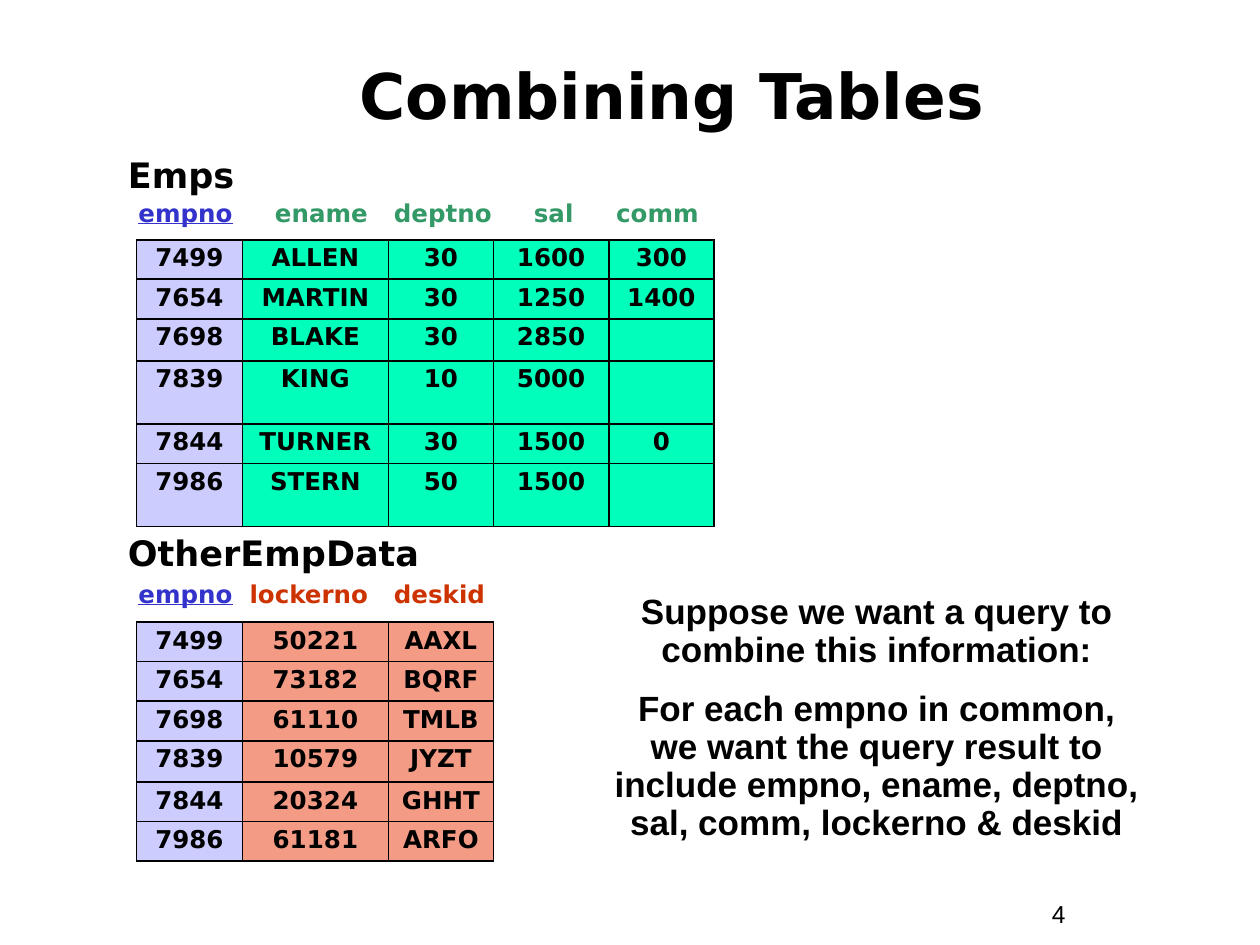
import dataclasses
import typing

import lxml.etree
import pptx
import pptx.dml.color
import pptx.enum.text
import pptx.oxml.ns
import pptx.util

Pt = pptx.util.Pt
Align = pptx.enum.text.PP_ALIGN
Anchor = pptx.enum.text.MSO_ANCHOR
qn = pptx.oxml.ns.qn


# Theme: colours, fonts and type sizes
@dataclasses.dataclass(frozen=True)
class Theme:
    ink: str = "000000"
    key: str = "3333CC"
    green: str = "339966"
    rust: str = "CC3300"
    lilac: str = "CCCCFF"
    mint: str = "01FFBC"
    salmon: str = "F49B86"
    head: str = "DejaVu Sans"
    body: str = "Arial"
    title: float = 36
    large: float = 20
    small: float = 14
    rule: float = 1.08


THEME = Theme()


@dataclasses.dataclass(frozen=True)
class Style:
    size: float
    face: str = THEME.head
    color: str = THEME.ink
    bold: bool = True
    line: bool = False


class Box(typing.NamedTuple):
    left: float
    top: float
    width: float
    height: float


class Field(typing.NamedTuple):
    name: str
    width: float
    tab: float  # label start, measured from the first label


class Table(typing.NamedTuple):
    name: str
    label: Box
    header: Box
    left: float
    top: float
    tint: str
    fill: str
    fields: list[Field]
    heights: list[float]
    rows: list[str]  # cells parted by "|"


# Table contents
ROW = 22.6
TALL = 36
EMPNO = Field("empno", 60.5, 0)

TABLES = [
    Table("Emps", Box(66, 84, 168, 32), Box(72, 109.5, 342, 24.5),
          78, 137, THEME.green, THEME.mint,
          [EMPNO, Field("ename", 83.5, 78), Field("deptno", 60, 146),
           Field("sal", 66, 226), Field("comm", 60, 273)],
          [ROW, ROW, ROW, TALL, ROW, TALL],
          ["7499|ALLEN|30|1600|300", "7654|MARTIN|30|1250|1400",
           "7698|BLAKE|30|2850|", "7839|KING|10|5000|",
           "7844|TURNER|30|1500|0", "7986|STERN|50|1500|"]),
    Table("OtherEmpData", Box(66, 300, 198, 32), Box(72, 327.5, 228, 24.5),
          78, 355.5, THEME.rust, THEME.salmon,
          [EMPNO, Field("lockerno", 83.5, 63.5), Field("deskid", 60, 146)],
          [ROW, ROW, ROW, 23.6, ROW, ROW],
          ["7499|50221|AAXL", "7654|73182|BQRF", "7698|61110|TMLB",
           "7839|10579|JYZT", "7844|20324|GHHT", "7986|61181|ARFO"]),
]


def paint(font: typing.Any, style: Style) -> None:
    form = {"name": style.face, "size": Pt(style.size),
            "bold": style.bold, "underline": style.line}
    for key, value in form.items():
        setattr(font, key, value)
    font.color.rgb = pptx.dml.color.RGBColor.from_string(style.color)


def write(para: typing.Any, text: str, style: Style) -> None:
    run = para.add_run()
    run.text = text
    paint(run.font, style)


def frame(slide: typing.Any, box: Box) -> typing.Any:
    text = slide.shapes.add_textbox(*map(Pt, box)).text_frame
    text.word_wrap = True
    return text


def label(slide: typing.Any, box: Box, lines: list[str], style: Style,
          anchor: typing.Any = Anchor.TOP, gap: float = 0,
          **form: typing.Any) -> None:
    text = frame(slide, box)
    text.vertical_anchor = anchor
    for i, line in enumerate(lines):
        para = text.add_paragraph() if i else text.paragraphs[0]
        for key, value in form.items():
            setattr(para, key, value)
        if i:
            para.space_before = Pt(gap)
        write(para, line, style)


def header(slide: typing.Any, table: Table) -> None:
    """Column labels, spaced by tab stops."""
    para = frame(slide, table.header).paragraphs[0]
    tabs = lxml.etree.SubElement(para._p.get_or_add_pPr(), qn("a:tabLst"))
    for field in table.fields[1:]:
        lxml.etree.SubElement(tabs, qn("a:tab"), pos=str(int(Pt(field.tab))),
                              algn="l")
    first, *rest = table.fields
    write(para, first.name, Style(THEME.small, color=THEME.key, line=True))
    for field in rest:
        write(para, "\t" + field.name, Style(THEME.small, color=table.tint))


def border(cell: typing.Any) -> None:
    props = cell._tc.get_or_add_tcPr()
    for side in ("lnL", "lnR", "lnT", "lnB"):
        line = lxml.etree.SubElement(props, qn("a:" + side),
                                     w=str(int(Pt(THEME.rule))))
        fill = lxml.etree.SubElement(line, qn("a:solidFill"))
        lxml.etree.SubElement(fill, qn("a:srgbClr"), val=THEME.ink)


def fill_cell(cell: typing.Any, text: str, color: str) -> None:
    border(cell)
    cell.fill.solid()
    cell.fill.fore_color.rgb = pptx.dml.color.RGBColor.from_string(color)
    para = cell.text_frame.paragraphs[0]
    para.alignment = Align.CENTER
    para.line_spacing = 0.9
    if text:
        write(para, text, Style(THEME.small))
    else:  # keep an empty cell from stretching its row
        lxml.etree.SubElement(para._p, qn("a:endParaRPr"),
                              sz=str(int(THEME.small * 100)))


def draw(slide: typing.Any, table: Table) -> None:
    label(slide, table.label, [table.name], Style(THEME.large))
    header(slide, table)
    width = sum(field.width for field in table.fields)
    grid = slide.shapes.add_table(
        len(table.rows), len(table.fields), Pt(table.left), Pt(table.top),
        Pt(width), Pt(sum(table.heights))).table
    grid.first_row = grid.horz_banding = False
    for col, field in zip(grid.columns, table.fields):
        col.width = Pt(field.width)
    for row, height, line in zip(grid.rows, table.heights, table.rows):
        row.height = Pt(height)
        for i, (cell, text) in enumerate(zip(row.cells, line.split("|"))):
            fill_cell(cell, text, table.fill if i else THEME.lilac)


def main() -> None:
    deck = pptx.Presentation()
    deck.slide_width, deck.slide_height = Pt(720), Pt(540)
    slide = deck.slides.add_slide(deck.slide_layouts[6])

    # Title
    label(slide, Box(174, 24, 420, 60), ["Combining Tables"],
          Style(THEME.title), Anchor.MIDDLE, alignment=Align.CENTER)

    # Both tables with their names and column labels
    for table in TABLES:
        draw(slide, table)

    # Question beside the second table
    label(slide, Box(342, 336, 318, 150),
          ["Suppose we want a query to combine this information:",
           "For each empno in common, we want the query result to include "
           "empno, ename, deptno, sal, comm, lockerno & deskid"],
          Style(THEME.large, THEME.body), gap=12.5,
          alignment=Align.CENTER, line_spacing=0.9)

    # Page number
    label(slide, Box(594, 510, 66, 24.5), ["4"],
          Style(THEME.small, THEME.body, bold=False))

    deck.save("out.pptx")


if __name__ == "__main__":
    main()
